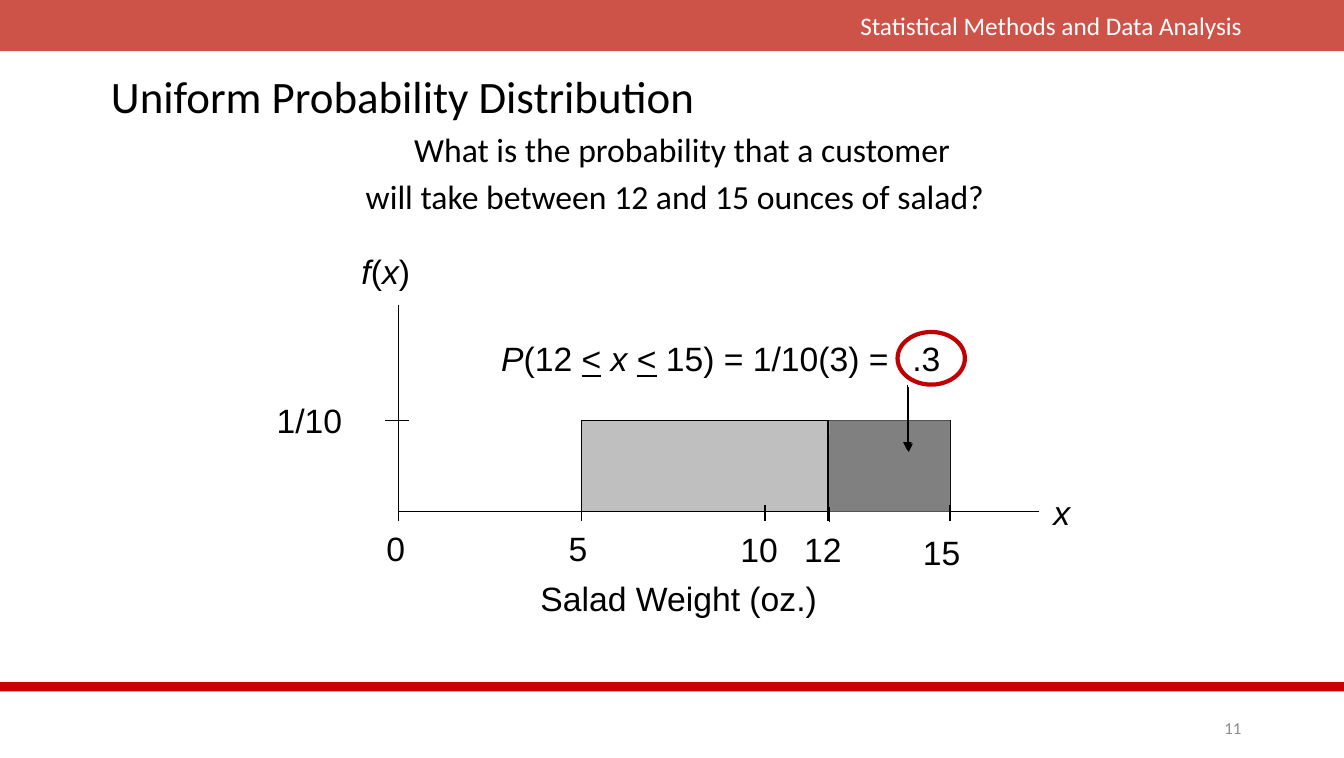
from dataclasses import dataclass

import pptx
import pptx.dml.color
import pptx.enum.shapes
import pptx.enum.text
import pptx.oxml
import pptx.oxml.ns
import pptx.util
from lxml import etree

Pt = pptx.util.Pt
SHAPE = pptx.enum.shapes.MSO_SHAPE
ALIGN = pptx.enum.text.PP_ALIGN
ANCHOR = pptx.enum.text.MSO_ANCHOR
qn = pptx.oxml.ns.qn


@dataclass(frozen=True)
class Theme:
    black: str = "000000"
    white: str = "FFFFFF"
    header: str = "BF2317"
    rule: str = "CC0000"
    ring: str = "C00000"
    area: str = "BFBFBF"
    event: str = "808080"
    page: str = "8C8C8C"
    text_font: str = "Calibri"
    chart_font: str = "Arial"
    title_size: int = 32
    body_size: int = 24
    header_size: int = 18
    page_size: int = 12


T = Theme()
W, H = 957.6, 540
AXIS_X, AXIS_Y, DENSITY_Y = 284, 364.5, 299.5
OUNCES = {0: AXIS_X, 5: 414.5, 10: 545, 12: 590, 15: 677}
# weight: centre and top of its label
LABELS = {0: (282, 372.5), 5: (412, 372.5), 10: (541, 373.5),
          12: (586.5, 373.5), 15: (671, 375)}
LABEL_H = 36


def rgb(color):
    return pptx.dml.color.RGBColor.from_string(color)


def add_runs(p, runs, font, size, color):
    """Add (text, style) runs; style holds i for italic and u for underline."""
    for text, style in runs:
        r = p.add_run()
        r.text = text
        r.font.name, r.font.size = font, Pt(size)
        r.font.color.rgb = rgb(color)
        r.font.italic = "i" in style
        r.font.underline = "u" in style


def add_text(s, box, runs, size=T.body_size, color=T.black, font=T.text_font,
             align=ALIGN.LEFT, wrap=True):
    tf = s.shapes.add_textbox(*map(Pt, box)).text_frame
    tf.word_wrap = wrap
    p = tf.paragraphs[0]
    p.alignment = align
    add_runs(p, runs, font, size, color)
    return tf


def add_label(s, x, y, w, *runs, wrap=False):
    return add_text(s, (x, y, w, LABEL_H), runs, font=T.chart_font, wrap=wrap)


def paint(sp, fill=None, line=None, width=0):
    sp.shadow.inherit = False
    if fill:
        sp.fill.solid()
        sp.fill.fore_color.rgb = rgb(fill)
    else:
        sp.fill.background()
    if line:
        sp.line.color.rgb = rgb(line)
        sp.line.width = Pt(width)
    else:
        sp.line.fill.background()
    return sp


def add_block(s, kind, box, **style):
    return paint(s.shapes.add_shape(kind, *map(Pt, box)), **style)


def add_area(s, start, end, fill, lean=0):
    """Region under the density; lean shifts its top corners to the right."""
    left, right = OUNCES[start], OUNCES[end]
    corners = ((left + lean, DENSITY_Y), (right, DENSITY_Y), (right, AXIS_Y))
    outline = s.shapes.build_freeform(Pt(left), Pt(AXIS_Y))
    outline.add_line_segments([(Pt(x), Pt(y)) for x, y in corners], close=True)
    paint(outline.convert_to_shape(), fill=fill)


def add_line(s, x1, y1, x2, y2, arrow=False, shadow=False):
    c = s.shapes.add_connector(pptx.enum.shapes.MSO_CONNECTOR.STRAIGHT,
                               Pt(x1), Pt(y1), Pt(x2), Pt(y2))
    c.line.color.rgb = rgb(T.black)
    c.line.width = Pt(1)
    if arrow:
        ln = c._element.spPr.find(qn("a:ln"))
        etree.SubElement(ln, qn("a:tailEnd"), type="triangle")
    effects = etree.SubElement(c._element.spPr, qn("a:effectLst"))
    if shadow:
        outer = etree.SubElement(effects, qn("a:outerShdw"), dist=str(Pt(1.4)),
                                 dir="2700000", algn="ctr", rotWithShape="0")
        etree.SubElement(outer, qn("a:srgbClr"), val=T.black)


def add_frame(s):
    """Header band, footer rule, title and page number."""
    band = add_block(s, SHAPE.RECTANGLE, (0, 0, W, 36.5), fill=T.header)
    color = band._element.spPr.find(".//" + qn("a:srgbClr"))
    etree.SubElement(color, qn("a:alpha"), val="78000")
    add_text(s, (480, 3.6, 412, 29), [("Statistical Methods and Data Analysis", "")],
             T.header_size, T.white, align=ALIGN.RIGHT)
    add_block(s, SHAPE.RECTANGLE, (0, 486, W, 6.5), fill=T.rule)
    tf = add_text(s, (842.5, 507.5, 49, 21.5), [("11", "")],
                  T.page_size, T.page, align=ALIGN.RIGHT)
    tf.vertical_anchor = ANCHOR.MIDDLE
    tf = add_text(s, (72, 49.7, 814, 39),
                  [("Uniform Probability Distribution", "")], T.title_size)
    tf.paragraphs[0].line_spacing = 0.9


def add_question(s):
    lines = (("What is the probability that a customer", 88.5),
             ("will take between 12 and 15 ounces of salad?", 54))
    tf = add_text(s, (199.5, 88, 542, 77), [])
    for i, (text, indent) in enumerate(lines):
        p = tf.add_paragraph() if i else tf.paragraphs[0]
        p.space_before = Pt(4.8)
        p._p.get_or_add_pPr().set("marL", str(Pt(indent)))
        add_runs(p, [(text, "")], T.text_font, T.body_size, T.black)


def add_density(s):
    add_area(s, 5, 15, T.area)
    add_line(s, AXIS_X, 217.5, AXIS_X, 371.5)
    add_line(s, AXIS_X, AXIS_Y, 740, AXIS_Y)
    add_line(s, 274.5, DENSITY_Y, 291.5, DENSITY_Y)
    add_line(s, OUNCES[5], DENSITY_Y, OUNCES[15], DENSITY_Y)
    for ounces in (5, 15):
        add_line(s, OUNCES[ounces], DENSITY_Y, OUNCES[ounces], AXIS_Y)
    add_area(s, 12, 15, T.event, lean=1)
    add_line(s, OUNCES[12], DENSITY_Y, OUNCES[12], AXIS_Y)

    for ounces, (center, top) in LABELS.items():
        if ounces:
            add_line(s, OUNCES[ounces], 360, OUNCES[ounces], 371, shadow=ounces == 12)
        width = 14.4 + 13.35 * len(str(ounces))
        add_label(s, center - width / 2, top, width, (str(ounces), ""))

    add_label(s, 250.5, 175.5, 50, ("f", "i"), ("(", ""), ("x", "i"), (")", ""))
    add_label(s, 743.5, 346.5, 26.5, ("x", "i"))
    add_label(s, 190, 281.5, 62, ("1/10", ""))
    add_label(s, 378, 408, 213, ("Salad Weight (oz.)", ""))


def add_answer(s):
    tf = add_label(s, 350, 237.5, 333.5, ("P", "i"), ("(12 ", ""), ("<", "u"),
                   (" ", ""), ("x ", "i"), ("<", "u"),
                   (" 15) = 1/10(3) =\t.3", ""), wrap=True)
    stops = etree.SubElement(tf.paragraphs[0]._p.get_or_add_pPr(), qn("a:tabLst"))
    etree.SubElement(stops, qn("a:tab"), pos=str(Pt(293)), algn="l")
    add_block(s, SHAPE.OVAL, (639.5, 236.5, 48, 37.5), line=T.ring, width=3)
    add_line(s, 646.5, 274.5, 646.5, 321, arrow=True, shadow=True)


def main():
    prs = pptx.Presentation()
    prs.slide_width, prs.slide_height = Pt(W), Pt(H)
    s = prs.slides.add_slide(prs.slide_layouts[6])
    add_frame(s)
    add_question(s)
    add_density(s)
    add_answer(s)
    prs.save("out.pptx")


if __name__ == "__main__":
    main()
